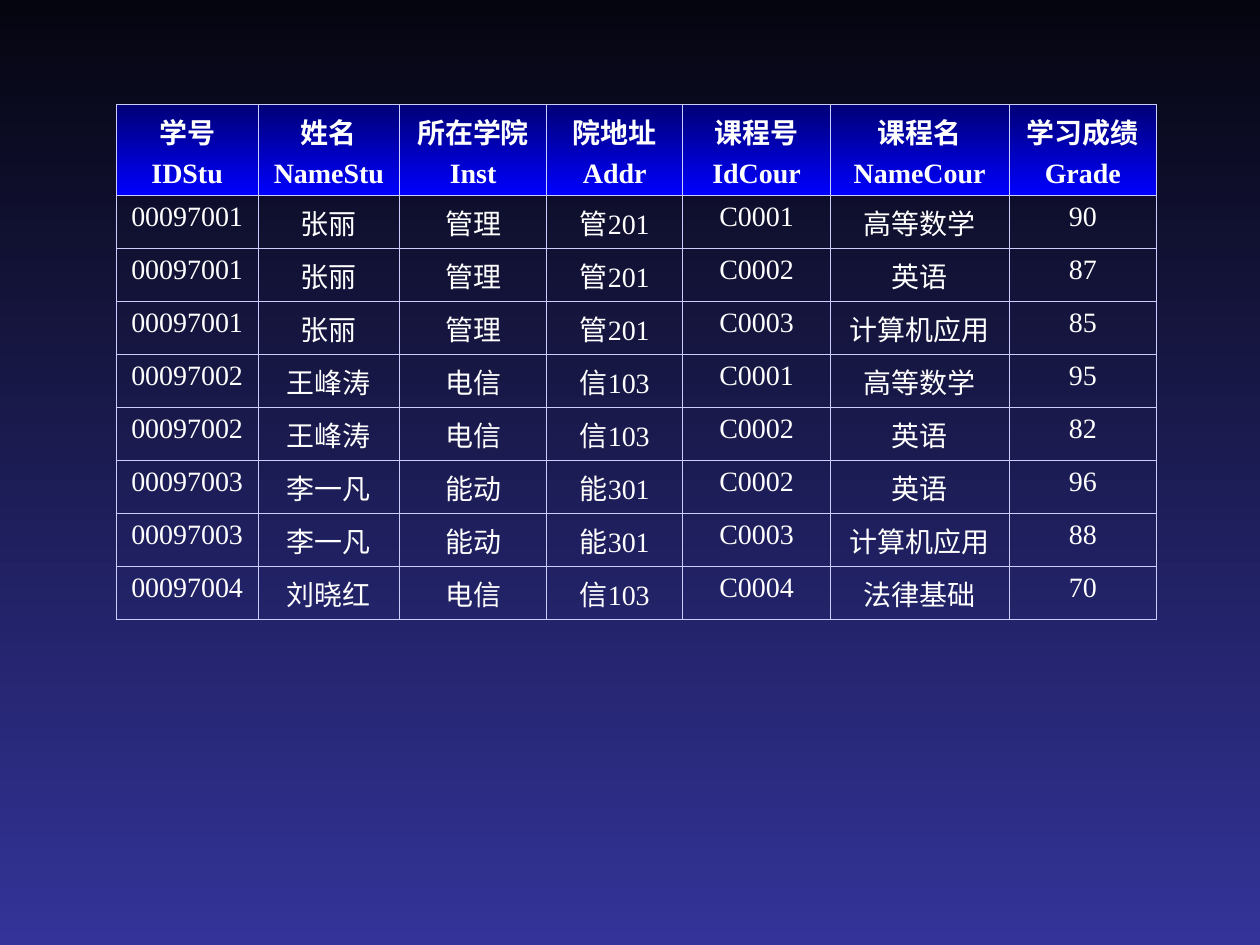
from lxml import etree
from pptx import Presentation
from pptx.dml.color import RGBColor
from pptx.enum.text import PP_ALIGN
from pptx.oxml.ns import qn
from pptx.util import Inches, Pt

CENTER = PP_ALIGN.CENTER
THEME = {
    "font": "Times New Roman",
    "size": Pt(16),
    "space_before": Pt(4),
    "text": "FFFFFF",
    "border": "CCCCFF",
    "border_width": Pt(0.45),
    "background": ("050510", "333399"),
    "header": ("000076", "0000FF"),
}

COLUMNS = [
    ("学号", "IDStu", 1.13),
    ("姓名", "NameStu", 1.12),
    ("所在学院", "Inst", 1.17),
    ("院地址", "Addr", 1.08),
    ("课程号", "IdCour", 1.17),
    ("课程名", "NameCour", 1.42),
    ("学习成绩", "Grade", 1.17),
]
STUDENTS = {
    "00097001": ("张丽", "管理", "管201"),
    "00097002": ("王峰涛", "电信", "信103"),
    "00097003": ("李一凡", "能动", "能301"),
    "00097004": ("刘晓红", "电信", "信103"),
}
COURSES = {
    "C0001": "高等数学",
    "C0002": "英语",
    "C0003": "计算机应用",
    "C0004": "法律基础",
}
GRADES = [
    ("00097001", "C0001", "90"),
    ("00097001", "C0002", "87"),
    ("00097001", "C0003", "85"),
    ("00097002", "C0001", "95"),
    ("00097002", "C0002", "82"),
    ("00097003", "C0002", "96"),
    ("00097003", "C0003", "88"),
    ("00097004", "C0004", "70"),
]
HEADER_HEIGHT, ROW_HEIGHT = 0.69, 0.39


def fill_downwards(fill, colors):
    """Fill with a gradient from the first colour at the top to the second at the bottom."""
    fill.gradient()
    fill.gradient_angle = 270
    for stop, position, color in zip(fill.gradient_stops, (0, 1), colors):
        stop.position = position
        stop.color.rgb = RGBColor.from_string(color)


def add_borders(cell):
    tc_pr = cell._tc.get_or_add_tcPr()
    for side in ("a:lnL", "a:lnR", "a:lnT", "a:lnB"):
        line = etree.SubElement(tc_pr, qn(side), w=str(THEME["border_width"]))
        solid = etree.SubElement(line, qn("a:solidFill"))
        etree.SubElement(solid, qn("a:srgbClr"), val=THEME["border"])


prs = Presentation()
prs.slide_width, prs.slide_height = Inches(10), Inches(7.5)
s = prs.slides.add_slide(prs.slide_layouts[6])
fill_downwards(s.background.fill, THEME["background"])

# Each cell is a list of lines; the header has two lines per cell.
rows = [[(title, field) for title, field, width in COLUMNS]]
for student, course, grade in GRADES:
    values = (student, *STUDENTS[student], course, COURSES[course], grade)
    rows.append([(value,) for value in values])

table_width = sum(width for title, field, width in COLUMNS)
table_height = HEADER_HEIGHT + ROW_HEIGHT * len(GRADES)
table = s.shapes.add_table(
    len(rows), len(COLUMNS),
    Inches(0.92), Inches(0.83), Inches(table_width), Inches(table_height),
).table
table.horz_banding = False
for column, (title, field, width) in zip(table.columns, COLUMNS):
    column.width = Inches(width)

for i, row in enumerate(rows):
    is_header = i == 0
    table.rows[i].height = Inches(HEADER_HEIGHT if is_header else ROW_HEIGHT)
    for j, lines in enumerate(row):
        cell = table.cell(i, j)
        add_borders(cell)
        if is_header:
            fill_downwards(cell.fill, THEME["header"])
        else:
            cell.fill.background()
        tf = cell.text_frame
        for k, line in enumerate(lines):
            p = tf.paragraphs[0] if k == 0 else tf.add_paragraph()
            p.alignment = CENTER
            p.space_before = THEME["space_before"]
            r = p.add_run()
            r.text = line
            r.font.name = THEME["font"]
            r.font.size = THEME["size"]
            r.font.bold = is_header
            r.font.color.rgb = RGBColor.from_string(THEME["text"])

prs.save("out.pptx")
